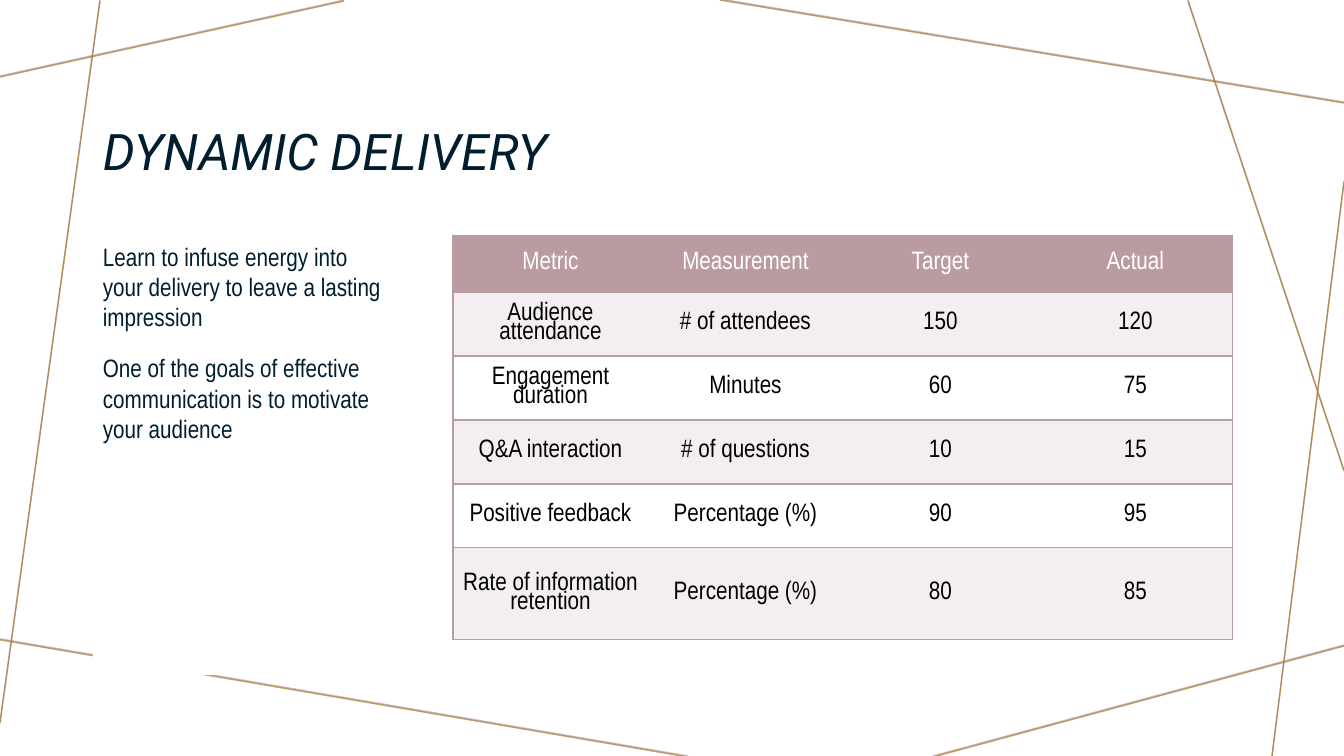
import pptx
import pptx.dml.color
import pptx.enum.shapes
import pptx.enum.text
import pptx.oxml
import pptx.oxml.ns
import pptx.util
from lxml import etree

PX = 914400 / 100.8
COLORS = {"mauve": "BA9CA0", "gold": "A57931", "navy": "001E2E",
          "white": "FFFFFF", "black": "000000", "band": "F3EFF0"}
ALIGN = pptx.enum.text.PP_ALIGN
ANCHOR = pptx.enum.text.MSO_ANCHOR


def px(length):
    return pptx.util.Emu(round(length * PX))


def rgb(name):
    return pptx.dml.color.RGBColor.from_string(COLORS[name])


def write(paragraph, text, font="Arial Narrow", size=18, color="navy", italic=False,
          align=ALIGN.LEFT, spacing=1.0, before=0, after=0):
    paragraph.alignment = align
    paragraph.line_spacing = spacing
    paragraph.space_before = pptx.util.Pt(before)
    paragraph.space_after = pptx.util.Pt(after)
    run = paragraph.add_run()
    run.text = text
    run.font.name = font
    run.font.size = pptx.util.Pt(size)
    run.font.italic = italic
    run.font.color.rgb = rgb(color)


class Deck:
    def __init__(self, width, height):
        self.file = pptx.Presentation()
        self.file.slide_width, self.file.slide_height = px(width), px(height)
        self.slide = self.file.slides.add_slide(self.file.slide_layouts[6])

    def line(self, x1, y1, x2, y2, color):
        strand = self.slide.shapes.add_connector(
            pptx.enum.shapes.MSO_CONNECTOR.STRAIGHT, px(x1), px(y1), px(x2), px(y2))
        strand.line.width = pptx.util.Pt(1)
        strand.line.color.rgb = rgb(color)
        properties = strand._element.spPr
        tint = properties.find(".//" + pptx.oxml.ns.qn("a:srgbClr"))
        etree.SubElement(tint, pptx.oxml.ns.qn("a:alpha"), val="70000")
        etree.SubElement(properties, pptx.oxml.ns.qn("a:effectLst"))

    def text(self, left, top, width, height, paragraphs, anchor=ANCHOR.TOP, fill=None, **style):
        box = self.slide.shapes.add_textbox(px(left), px(top), px(width), px(height))
        if fill:
            box.fill.solid()
            box.fill.fore_color.rgb = rgb(fill)
        frame = box.text_frame
        frame.word_wrap = True
        frame.vertical_anchor = anchor
        for i, words in enumerate(paragraphs):
            write(frame.add_paragraph() if i else frame.paragraphs[0], words, **style)

    def border(self, cell, sides):
        properties = cell._tc.get_or_add_tcPr()
        for i, side in enumerate("LRTB"):
            paint = (f'<a:solidFill><a:srgbClr val="{COLORS["mauve"]}"/></a:solidFill>'
                     if side in sides else "<a:noFill/>")
            properties.insert(i, pptx.oxml.parse_xml(
                f'<a:ln{side} {pptx.oxml.ns.nsdecls("a")} w="12700">{paint}</a:ln{side}>'))

    def table(self, left, top, column_width, heights, rows):
        columns = len(rows[0])
        grid = self.slide.shapes.add_table(len(rows), columns, px(left), px(top),
                                           px(column_width * columns), px(sum(heights))).table
        for column in grid.columns:
            column.width = px(column_width)
        for r, (height, values) in enumerate(zip(heights, rows)):
            grid.rows[r].height = px(height)
            fill = "mauve" if r == 0 else "band" if r % 2 else "white"
            for c, value in enumerate(values):
                cell = grid.cell(r, c)
                cell.fill.solid()
                cell.fill.fore_color.rgb = rgb(fill)
                cell.vertical_anchor = ANCHOR.MIDDLE
                write(cell.text_frame.paragraphs[0], value, align=ALIGN.CENTER, spacing=0.8,
                      color="black" if r else "white")
                self.border(cell, "TB" + "L" * (c == 0) + "R" * (c == columns - 1))


def main():
    deck = Deck(1344, 756)

    # Crossing background strands, gold just below mauve
    strands = [(344, 0, 0, 76), (100, 0, 0, 722), (688, 756, -5, 638), (1344, 645, 933, 756),
               (1344, 181, 1272, 756), (1344, 470, 1188, 0), (1344, 102, 720, -1)]
    for color, drop in (("mauve", 0), ("gold", 1)):
        for x1, y1, x2, y2 in strands:
            deck.line(x1, y1 + drop, x2, y2 + drop, color)

    # Title and advice
    deck.text(93, 40, 1139, 146, ["DYNAMIC DELIVERY"], anchor=ANCHOR.BOTTOM,
              font="Roboto", size=36, italic=True, spacing=0.9)
    deck.text(93, 236, 310, 439,
              ["Learn to infuse energy into your delivery to leave a lasting impression",
               "One of the goals of effective communication is to motivate your audience"],
              fill="white", before=10, after=5)

    # Delivery metrics
    metrics = [("Metric", "Measurement", "Target", "Actual"),
               ("Audience attendance", "# of attendees", "150", "120"),
               ("Engagement duration", "Minutes", "60", "75"),
               ("Q&A interaction", "# of questions", "10", "15"),
               ("Positive feedback", "Percentage (%)", "90", "95"),
               ("Rate of information retention", "Percentage (%)", "80", "85")]
    deck.table(453, 236, 195, [56, 64, 64, 64, 64, 92], metrics)

    deck.file.save("out.pptx")


if __name__ == "__main__":
    main()
